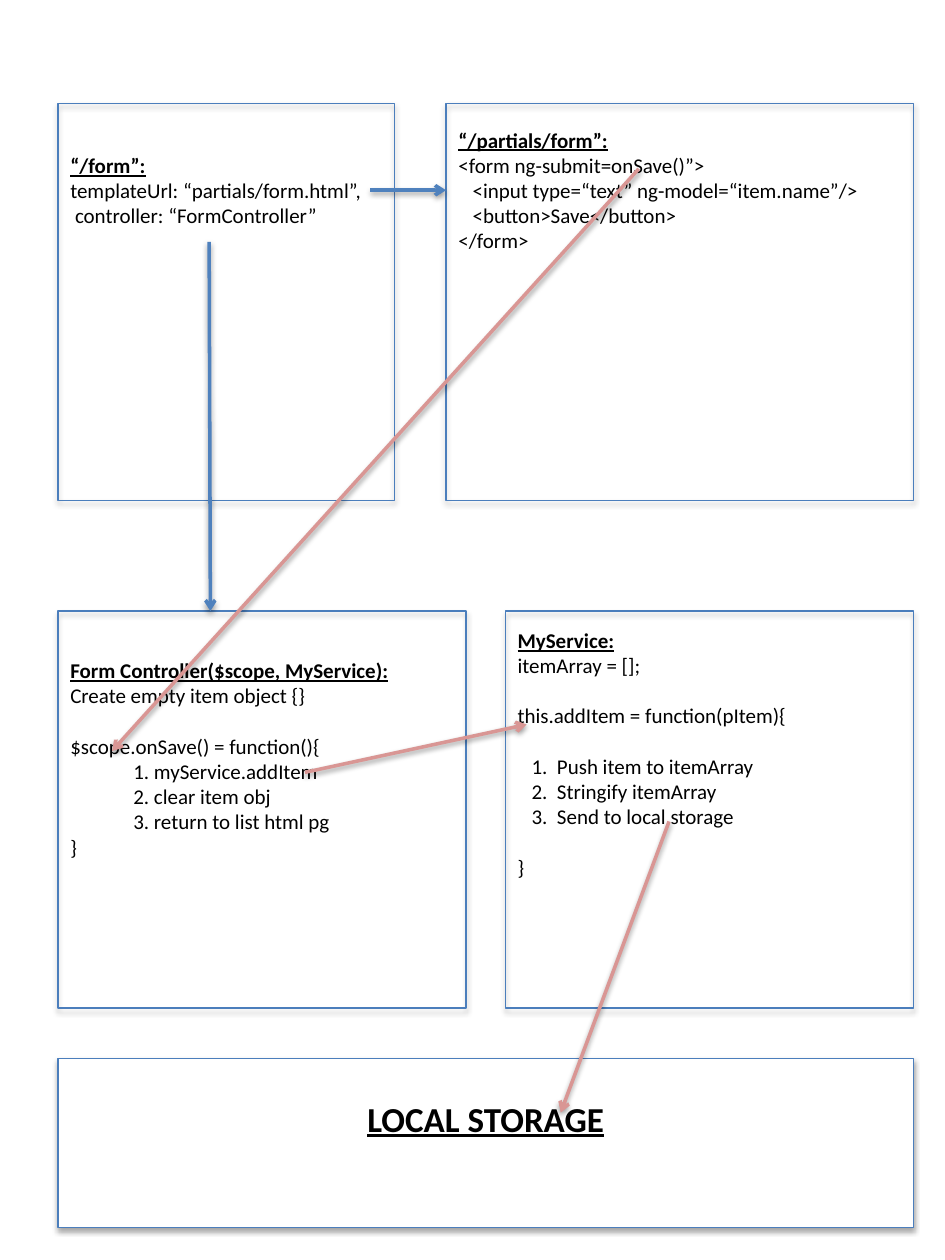
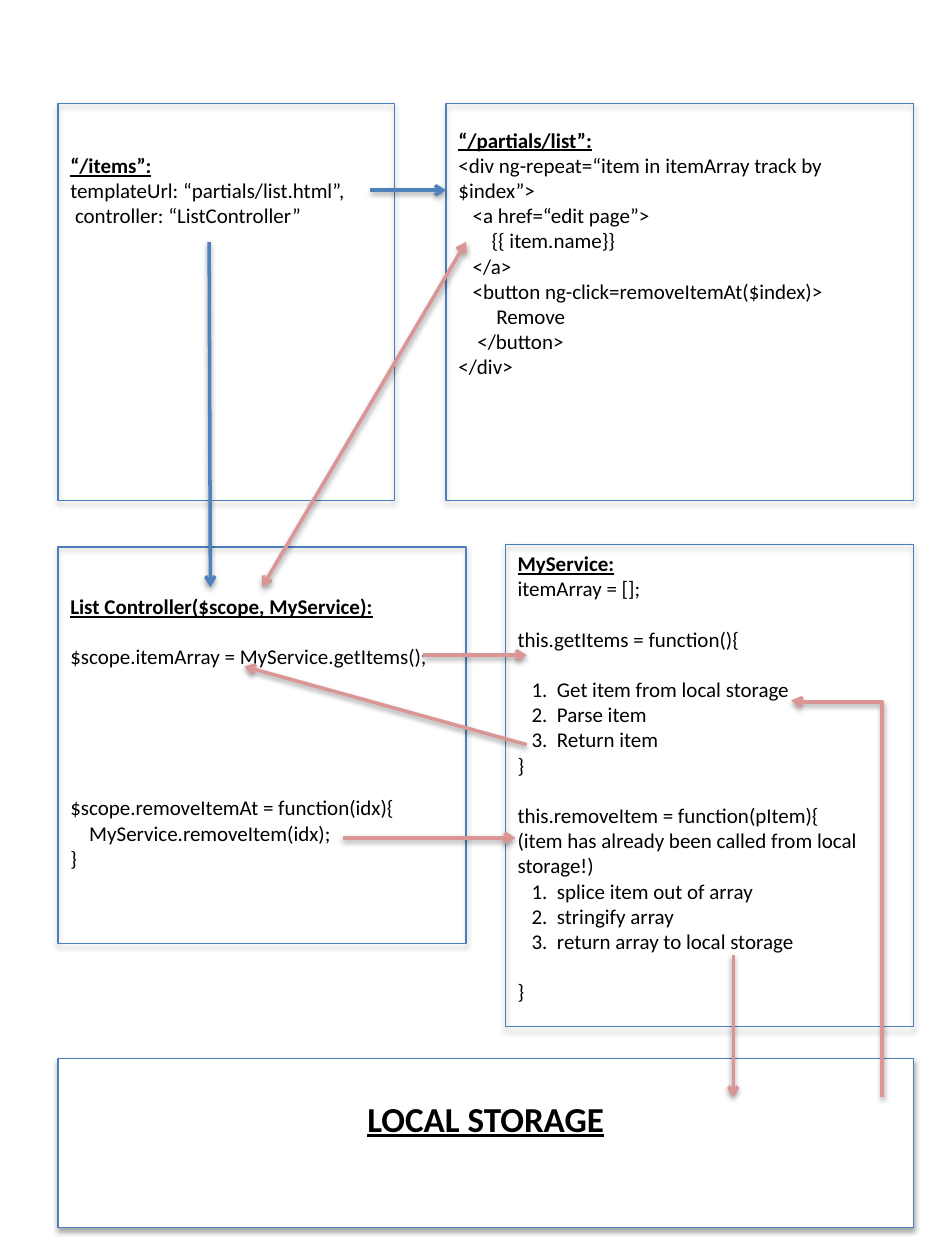
import collections

import lxml.etree
import pptx
import pptx.dml.color
import pptx.enum.shapes
import pptx.enum.text
import pptx.oxml.ns
import pptx.util

qn = pptx.oxml.ns.qn
Line = collections.namedtuple("Line", "text indent gap hang", defaults=(0, 0, 0))

COLORS = {"outline": "4B7EBC", "route": "4F81BD", "call": "D99694",
          "paper": "FFFFFF", "ink": "000000"}
COLUMNS, ROWS = 75, 100
LEFT, RIGHT = 4.6, 72.5
SERVICE_LEFT, PARTIAL_LEFT = 40.1, 35.4
ROUTE_WIDTH, HALF_WIDTH = 26.7, 32.4
TOP, BOX_HEIGHT = 8.2, 31.5


def steps(*texts, gap=0):
    return [Line(f"{i}.\t{text}", 8, 0 if i > 1 else gap, 14.5)
            for i, text in enumerate(texts, 1)]


class Diagram:
    font = "Calibri"
    size = 12
    line_pitch = 14.4
    space_width = 2.7

    def __init__(self, prs):
        self.prs = prs
        self.cell = prs.slide_width / COLUMNS
        self.s = None

    def new_slide(self):
        self.s = self.prs.slides.add_slide(self.prs.slide_layouts[6])

    def units(self, *cells):
        return [round(c * self.cell) for c in cells]

    def color(self, key):
        return pptx.dml.color.RGBColor.from_string(COLORS[key])

    def shadow(self, sp, alpha, dist):
        spPr = sp._element.spPr
        effects = spPr.find(qn("a:effectLst"))
        if effects is None:
            effects = lxml.etree.SubElement(spPr, qn("a:effectLst"))
        outer = lxml.etree.SubElement(
            effects, qn("a:outerShdw"), blurRad="40000", dist=str(dist),
            dir="5400000", rotWithShape="0")
        rgb = lxml.etree.SubElement(outer, qn("a:srgbClr"), val=COLORS["ink"])
        lxml.etree.SubElement(rgb, qn("a:alpha"), val=str(alpha * 1000))

    def box(self, left, top, width, height, fill=None):
        sp = self.s.shapes.add_shape(
            pptx.enum.shapes.MSO_SHAPE.RECTANGLE,
            *self.units(left, top, width, height))
        if fill:
            sp.fill.solid()
            sp.fill.fore_color.rgb = self.color(fill)
        else:
            sp.fill.background()
        sp.line.color.rgb = self.color("outline")
        sp.line.width = pptx.util.Pt(0.75)
        sp.shadow.inherit = False
        self.shadow(sp, 35, 23000)
        return sp

    def style(self, p, size, heading=False):
        p.font.name = self.font
        p.font.size = pptx.util.Pt(size)
        p.font.bold = p.font.underline = heading
        p.font.color.rgb = self.color("ink")

    def text(self, left, top, width, height, heading, lines=(), size=None,
             align=pptx.enum.text.PP_ALIGN.LEFT):
        sp = self.s.shapes.add_textbox(*self.units(left, top, width, height))
        tf = sp.text_frame
        tf.word_wrap = True
        p = tf.paragraphs[0]
        p.text = heading
        p.alignment = align
        self.style(p, size or self.size, heading=True)
        for line in lines:
            line = line if isinstance(line, Line) else Line(line)
            p = tf.add_paragraph()
            p.text = line.text
            self.style(p, self.size)
            if line.gap:
                p.space_before = pptx.util.Pt(line.gap * self.line_pitch)
            if line.indent:
                pPr = p._p.get_or_add_pPr()
                pPr.set("marL", str(pptx.util.Pt(line.indent + line.hang)))
                pPr.set("indent", str(-pptx.util.Pt(line.hang)))
        return sp

    def finish_line(self, sp, color, both=False):
        sp.line.color.rgb = self.color(color)
        sp.line.width = pptx.util.Pt(2)
        ln = sp.line._get_or_add_ln()
        for end in ("a:headEnd", "a:tailEnd") if both else ("a:tailEnd",):
            lxml.etree.SubElement(ln, qn(end), type="arrow")
        self.shadow(sp, 38, 20000)

    def arrow(self, x1, y1, x2, y2, color="call", both=False, target=None):
        sp = self.s.shapes.add_connector(
            pptx.enum.shapes.MSO_CONNECTOR.STRAIGHT,
            *self.units(x1, y1, x2, y2))
        if target is not None:
            sp.end_connect(target, 0)
        self.finish_line(sp, color, both)

    def elbow_up_left(self, x1, y1, x2, y2, bend):
        cx, cy = (x1 + x2) / 2, (y1 + y2) / 2
        run, rise = (y1 - y2) / 2, (x1 - x2) / 2
        sp = self.s.shapes.add_connector(
            pptx.enum.shapes.MSO_CONNECTOR.ELBOW,
            *self.units(cx - run, cy + rise, cx + run, cy - rise))
        spPr = sp._element.spPr
        spPr.find(qn("a:xfrm")).set("rot", str(270 * 60000))
        geom = spPr.find(qn("a:prstGeom"))
        guides = geom.find(qn("a:avLst"))
        if guides is None:
            guides = lxml.etree.SubElement(geom, qn("a:avLst"))
        lxml.etree.SubElement(guides, qn("a:gd"), name="adj1",
                              fmla=f"val {round(bend * 100000)}")
        self.finish_line(sp, "call")

    def indent(self, spaces, text, gap=0):
        return Line(text, spaces * self.space_width, gap)

    def page(self, route, partial, partial_lines, template, controller,
             controller_box, service_box, route_end):
        self.new_slide()
        self.box(LEFT, TOP, ROUTE_WIDTH, BOX_HEIGHT)
        self.box(PARTIAL_LEFT, TOP, RIGHT - PARTIAL_LEFT, BOX_HEIGHT)
        self.box(LEFT, controller_box[0], HALF_WIDTH, controller_box[1])
        self.box(SERVICE_LEFT, service_box[0], HALF_WIDTH, service_box[1])
        self.box(LEFT, 84, RIGHT - LEFT, 13.4, "paper")
        self.text(LEFT, 86.6, RIGHT - LEFT, 8.4, "LOCAL STORAGE", size=20,
                  align=pptx.enum.text.PP_ALIGN.CENTER)
        self.text(LEFT, 11.6, HALF_WIDTH, 11.1, route, [
            f"templateUrl: “{template}”,",
            self.indent(1, f"controller: “{controller}”")])
        self.text(PARTIAL_LEFT, 9.6, RIGHT - PARTIAL_LEFT, 25.2, partial,
                  partial_lines)
        self.arrow(29.4, 15.1, PARTIAL_LEFT, 15.1, "route")
        self.arrow(16.6, 19.2, 16.7, route_end, "route")


def form_slide(d):
    d.page("“/form”:", "“/partials/form”:", [
        "<form ng-submit=onSave()”>",
        d.indent(3, "<input type=“text” ng-model=“item.name”/>"),
        d.indent(3, "<button>Save</button>"),
        "</form>",
    ], "partials/form.html", "FormController",
        (48.5, BOX_HEIGHT), (48.5, BOX_HEIGHT), 48.5)
    d.text(LEFT, 51.7, HALF_WIDTH, 21.2, "Form Controller($scope, MyService):", [
        "Create empty item object {}",
        Line("$scope.onSave() = function(){", gap=1),
        Line("1. myService.addItem", 36),
        Line("2. clear item obj", 36),
        Line("3. return to list html pg", 36),
        "}"])
    d.text(SERVICE_LEFT, 49.3, HALF_WIDTH, 25.2, "MyService:", [
        "itemArray = [];",
        Line("this.addItem = function(pItem){", gap=1),
        *steps("Push item to itemArray", "Stringify itemArray",
               "Send to local storage", gap=1),
        Line("}", gap=1)])
    d.arrow(50.7, 13.4, 8.9, 59.6)
    d.arrow(53.1, 65.2, 44.5, 88.3)
    d.arrow(24.2, 61.3, 41.8, 57.5)


def list_slide(d):
    d.page("“/items”:", "“/partials/list”:", [
        "<div ng-repeat=“item in itemArray track by $index”>",
        d.indent(3, "<a href=“edit page”>"),
        d.indent(7, "{{ item.name}}"),
        d.indent(3, "</a>"),
        d.indent(3, "<button ng-click=removeItemAt($index)>"),
        d.indent(8, "Remove"),
        d.indent(4, "</button>"),
        "</div>",
    ], "partials/list.html", "ListController",
        (43.4, BOX_HEIGHT), (43.2, 38.3), 46.6)
    controller = d.text(
        LEFT, 46.6, HALF_WIDTH, 29.3, "List Controller($scope, MyService):", [
            Line("$scope.itemArray = MyService.getItems();", gap=1),
            Line("$scope.removeItemAt = function(idx){", gap=5),
            d.indent(4, "MyService.removeItem(idx);"),
            "}"])
    d.text(SERVICE_LEFT, 43.2, HALF_WIDTH, 37.4, "MyService:", [
        "itemArray = [];",
        Line("this.getItems = function(){", gap=1),
        *steps("Get item from local storage", "Parse item", "Return item", gap=1),
        "}",
        Line("this.removeItem = function(pItem){", gap=1),
        "(item has already been called from local storage!)",
        *steps("splice item out of array", "stringify array",
               "return array to local storage"),
        Line("}", gap=1)])
    d.arrow(37, 19.2, 20.8, 46.6, both=True, target=controller)
    d.arrow(33.6, 52, 41.8, 52)
    d.arrow(41.8, 59.1, 19.4, 52.9)
    d.arrow(27.2, 66.5, 40.9, 66.5)
    d.arrow(58.2, 75.8, 58.2, 87.1)
    d.elbow_up_left(70, 87.1, 62.8, 55.6, bend=0.996)


def main():
    prs = pptx.Presentation()
    prs.slide_width = pptx.util.Inches(7.5)
    prs.slide_height = round(prs.slide_width / COLUMNS * ROWS)
    d = Diagram(prs)
    form_slide(d)
    list_slide(d)
    prs.save("out.pptx")


if __name__ == "__main__":
    main()
